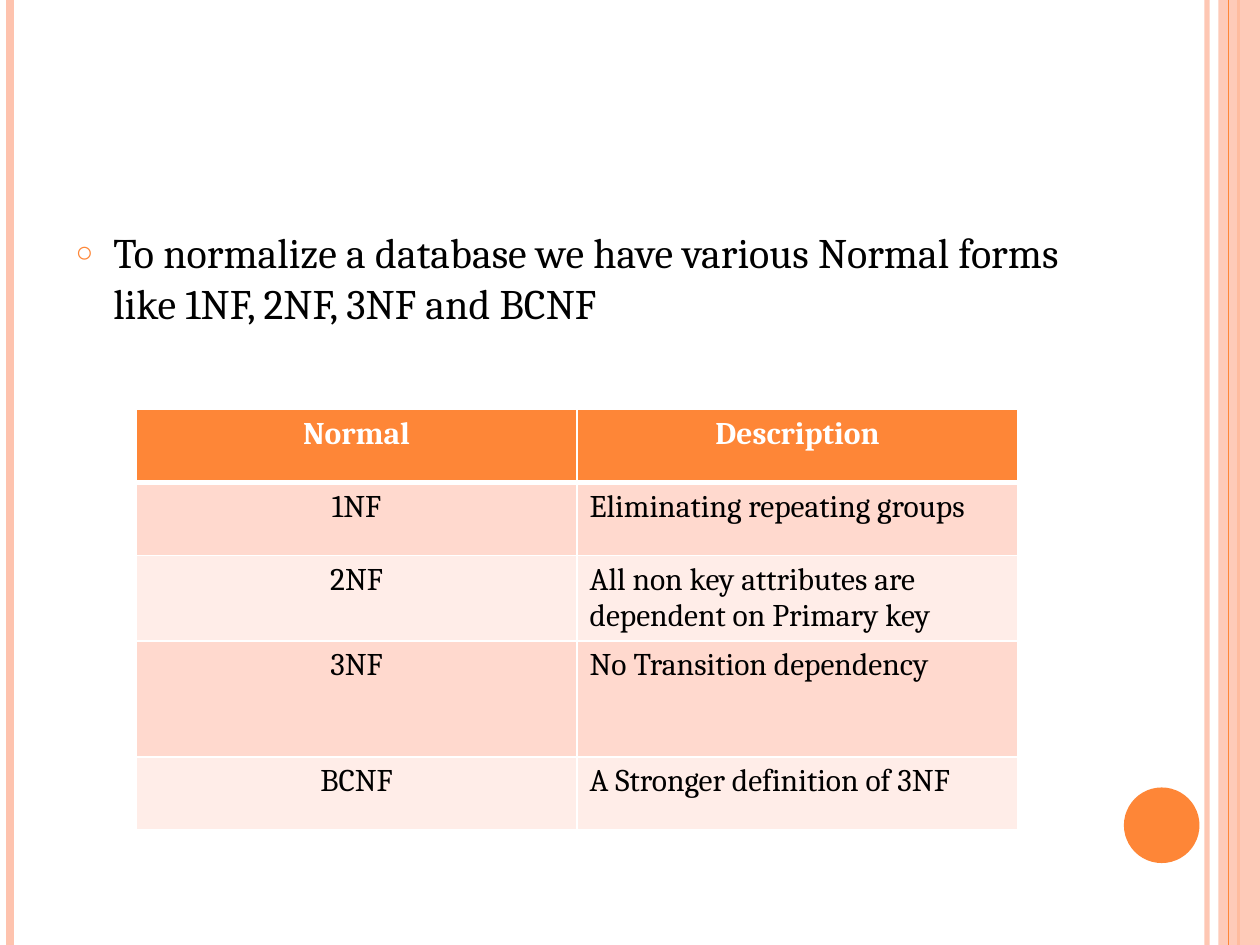
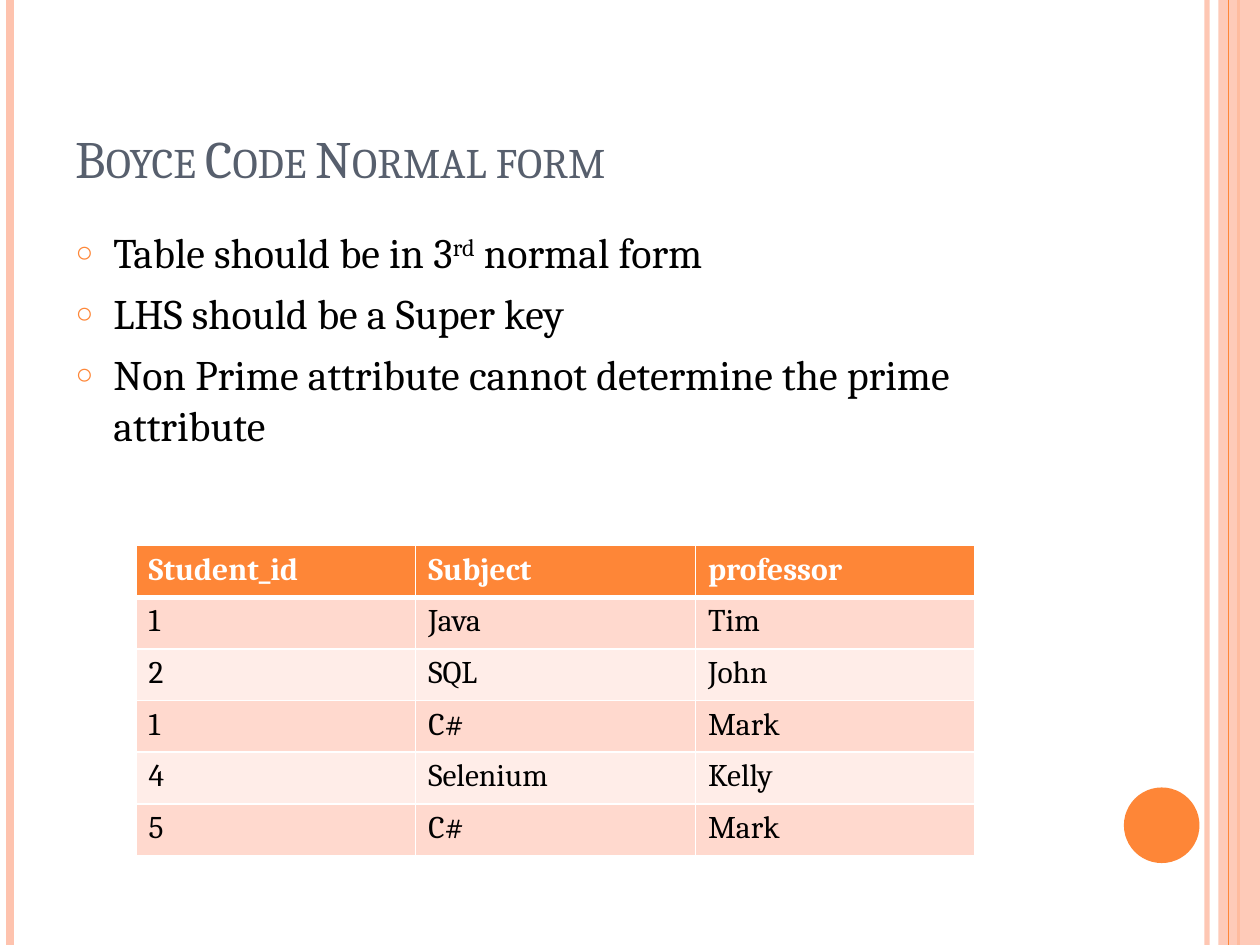
import lxml.etree
import pptx
import pptx.dml.color
import pptx.enum.shapes
import pptx.enum.text
import pptx.oxml
import pptx.oxml.ns
import pptx.util

Inches = pptx.util.Inches
Pt = pptx.util.Pt
RGBColor = pptx.dml.color.RGBColor
PP_ALIGN = pptx.enum.text.PP_ALIGN
qn = pptx.oxml.ns.qn

ORANGE = RGBColor(0xFE, 0x86, 0x37)
PEACH = RGBColor(0xFE, 0xC3, 0xAE)
ROW_DARK = RGBColor(0xFF, 0xD9, 0xCE)
ROW_LIGHT = RGBColor(0xFF, 0xED, 0xE8)
SLATE = RGBColor(0x57, 0x5F, 0x6D)
BLACK = RGBColor(0, 0, 0)
WHITE = RGBColor(0xFF, 0xFF, 0xFF)
FONT = "Cambria"


class Deck:
    def __init__(self):
        self.presentation = pptx.Presentation()
        self.presentation.slide_width = Inches(10)
        self.presentation.slide_height = Inches(7.5)
        self.slide = None

    def new_slide(self):
        layout = self.presentation.slide_layouts[1]
        self.slide = self.presentation.slides.add_slide(layout)
        self.vertical_line(9.58, PEACH, 3, 93)
        self.vertical_line(0.08, PEACH, 4.5)
        self.vertical_line(9.83, ORANGE, 1.5)
        shapes = pptx.enum.shapes.MSO_SHAPE
        self.shape(shapes.RECTANGLE, (9.67, 0, 0.33, 7.5), PEACH, 87)
        self.vertical_line(9.75, ORANGE, 0.75)
        self.shape(shapes.OVAL, (8.92, 6.25, 0.6, 0.6), ORANGE)

    def set_opacity(self, element, percent):
        color = element.find(".//" + qn("a:srgbClr"))
        alpha = lxml.etree.SubElement(color, qn("a:alpha"))
        alpha.set("val", str(percent * 1000))

    def vertical_line(self, left, color, width, opacity=100):
        line = self.slide.shapes.add_connector(
            pptx.enum.shapes.MSO_CONNECTOR.STRAIGHT,
            Inches(left), 0, Inches(left), self.presentation.slide_height)
        line.line.color.rgb = color
        line.line.width = Pt(width)
        properties = line._element.spPr
        lxml.etree.SubElement(properties, qn("a:effectLst"))
        if opacity < 100:
            self.set_opacity(properties, opacity)

    def shape(self, kind, box, color, opacity=100):
        shape = self.slide.shapes.add_shape(kind, *map(Inches, box))
        shape.shadow.inherit = False
        shape.fill.solid()
        shape.fill.fore_color.rgb = color
        shape.line.fill.background()
        if opacity < 100:
            self.set_opacity(shape._element.spPr, opacity)

    def place(self, placeholder, box):
        placeholder.left, placeholder.top, placeholder.width, placeholder.height = map(Inches, box)
        placeholder.text_frame.auto_size = pptx.enum.text.MSO_AUTO_SIZE.NONE
        placeholder.text_frame.word_wrap = True

    def format_runs(self, paragraph, size, color, bold=False):
        for run in paragraph.runs:
            run.font.name = FONT
            run.font.size = Pt(size)
            run.font.color.rgb = color
            run.font.bold = bold

    def title(self, text=None):
        title = self.slide.shapes.title
        if text is None:
            title._element.getparent().remove(title._element)
            return
        self.place(title, (0.5, 0.3, 8.17, 1.25))
        title.text_frame.text = text
        title.text_frame.vertical_anchor = pptx.enum.text.MSO_ANCHOR.BOTTOM
        paragraph = title.text_frame.paragraphs[0]
        paragraph.alignment = PP_ALIGN.LEFT
        self.format_runs(paragraph, 30, SLATE)
        paragraph.runs[0].font._element.set("cap", "small")

    def bullets(self, items):
        body = self.slide.placeholders[1]
        self.place(body, (0.5, 1.75, 8.17, 5.33))
        frame = body.text_frame
        for index, item in enumerate(items):
            paragraph = frame.add_paragraph() if index else frame.paragraphs[0]
            for position, part in enumerate(item.split("^")):
                run = paragraph.add_run()
                run.text = part
                if position % 2:
                    run.font._element.set("baseline", "30000")
            self.format_runs(paragraph, 24, BLACK)
            paragraph.space_before = Pt(6)
            self.add_bullet(paragraph)

    def add_bullet(self, paragraph):
        properties = paragraph._p.get_or_add_pPr()
        properties.set("marL", str(Inches(0.3)))
        properties.set("indent", str(-Inches(0.3)))
        color = lxml.etree.SubElement(properties, qn("a:buClr"))
        lxml.etree.SubElement(color, qn("a:srgbClr")).set("val", str(ORANGE))
        lxml.etree.SubElement(properties, qn("a:buSzPct")).set("val", "70000")
        lxml.etree.SubElement(properties, qn("a:buChar")).set("char", "○")

    def cell_borders(self, cell, row):
        widths = {"L": 1, "R": 1, "T": 3 if row == 1 else 1, "B": 3 if row == 0 else 1}
        properties = cell._tc.get_or_add_tcPr()
        for side, width in widths.items():
            border = lxml.etree.SubElement(properties, qn("a:ln" + side))
            border.set("w", str(Pt(width)))
            fill = lxml.etree.SubElement(border, qn("a:solidFill"))
            lxml.etree.SubElement(fill, qn("a:srgbClr")).set("val", str(WHITE))

    def table(self, top, column_width, row_heights, rows, is_centered):
        column_count = len(rows[0])
        frame = self.slide.shapes.add_table(
            len(rows), column_count, Inches(1.08), Inches(top),
            Inches(column_width * column_count), Inches(sum(row_heights)))
        table = frame.table
        for column in table.columns:
            column.width = Inches(column_width)
        for row, (height, texts) in enumerate(zip(row_heights, rows)):
            table.rows[row].height = Inches(height)
            is_header = row == 0
            for column, text in enumerate(texts):
                cell = table.cell(row, column)
                self.cell_borders(cell, row)
                cell.fill.solid()
                cell.fill.fore_color.rgb = (
                    ORANGE if is_header else ROW_DARK if row % 2 else ROW_LIGHT)
                cell.text_frame.text = text
                paragraph = cell.text_frame.paragraphs[0]
                if is_centered(row, column):
                    paragraph.alignment = PP_ALIGN.CENTER
                self.format_runs(paragraph, 18, WHITE if is_header else BLACK, is_header)


def main():
    deck = Deck()

    deck.new_slide()
    deck.title()
    deck.bullets(["To normalize a database we have various Normal forms like 1NF, 2NF, 3NF and BCNF"])
    normal_forms = [
        ("Normal", "Description"),
        ("1NF", "Eliminating repeating groups"),
        ("2NF", "All non key attributes are dependent on Primary key"),
        ("3NF", "No Transition dependency"),
        ("BCNF", "A Stronger definition of 3NF"),
    ]
    deck.table(3.25, 3.5, [0.58, 0.58, 0.58, 0.92, 0.58], normal_forms,
               lambda row, column: row == 0 or column == 0)

    deck.new_slide()
    deck.title("Boyce Code Normal form")
    deck.bullets([
        "Table should be in 3^rd^ normal form",
        "LHS should be a Super key",
        "Non Prime attribute cannot determine the prime attribute",
    ])
    enrolments = [
        ("Student_id", "Subject", "professor"),
        ("1", "Java", "Tim"),
        ("2", "SQL", "John"),
        ("1", "C#", "Mark"),
        ("4", "Selenium", "Kelly"),
        ("5", "C#", "Mark"),
    ]
    deck.table(4.33, 2.22, [0.41] * len(enrolments), enrolments,
               lambda row, column: False)

    deck.presentation.save("out.pptx")


if __name__ == "__main__":
    main()
